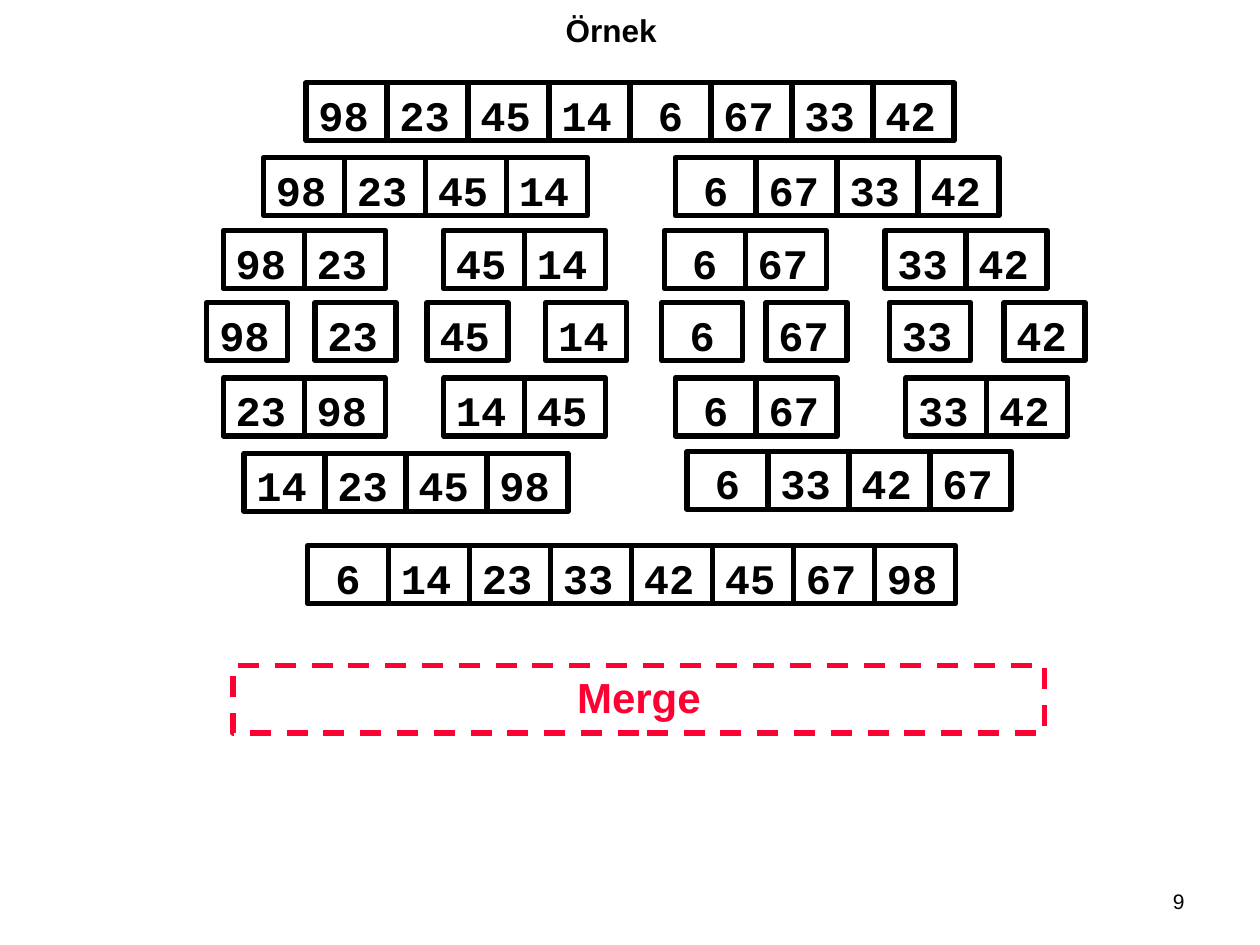
from pptx import Presentation
from pptx.dml.color import RGBColor
from pptx.enum.dml import MSO_LINE
from pptx.enum.shapes import MSO_SHAPE
from pptx.enum.text import MSO_ANCHOR, PP_ALIGN
from pptx.util import Cm, Pt

RECT = MSO_SHAPE.RECTANGLE
DASH = MSO_LINE.DASH
MIDDLE = MSO_ANCHOR.MIDDLE
TOP = MSO_ANCHOR.TOP
LEFT, CENTER, RIGHT = PP_ALIGN.LEFT, PP_ALIGN.CENTER, PP_ALIGN.RIGHT
COLORS = {"ink": "000000", "merge": "FF0033"}
CELL_W, CELL_H = 13.06 / 8, 1.17  # eight cells span the full array

# Each run of adjoining cells: left and top in cm, then its numbers
RUNS = [
    # Splitting
    (6.17, 1.67, [98, 23, 45, 14, 6, 67, 33, 42]),
    (5.31, 3.18, [98, 23, 45, 14]),
    (13.61, 3.18, [6, 67, 33, 42]),
    (4.5, 4.65, [98, 23]),
    (8.94, 4.65, [45, 14]),
    (13.39, 4.65, [6, 67]),
    (17.84, 4.65, [33, 42]),
    # Single elements
    (4.17, 6.1, [98]),
    (6.35, 6.1, [23]),
    (8.61, 6.1, [45]),
    (11, 6.1, [14]),
    (13.34, 6.1, [6]),
    (15.44, 6.1, [67]),
    (17.93, 6.1, [33]),
    (20.24, 6.1, [42]),
    # Merging
    (4.5, 7.62, [23, 98]),
    (8.94, 7.62, [14, 45]),
    (13.61, 7.62, [6, 67]),
    (18.26, 7.62, [33, 42]),
    (4.92, 9.14, [14, 23, 45, 98]),
    (13.85, 9.1, [6, 33, 42, 67]),
    (6.2, 11, [6, 14, 23, 33, 42, 45, 67, 98]),
]


def set_text(sp, text, font, size, color, align, anchor=MIDDLE, bold=True):
    tf = sp.text_frame
    tf.word_wrap = True
    tf.vertical_anchor = anchor
    p = tf.paragraphs[0]
    p.text = text
    p.alignment = align
    p.font.name = font
    p.font.size = Pt(size)
    p.font.bold = bold
    p.font.color.rgb = RGBColor.from_string(COLORS[color])
    return tf


def add_box(x, y, w, h, color):
    sp = s.shapes.add_shape(RECT, Cm(x), Cm(y), Cm(w), Cm(h))
    sp.shadow.inherit = False
    sp.fill.background()
    sp.line.color.rgb = RGBColor.from_string(COLORS[color])
    sp.line.width = Pt(3)
    return sp


prs = Presentation()
prs.slide_width, prs.slide_height = Cm(25.4), Cm(19.05)
s = prs.slides.add_slide(prs.slide_layouts[5])

# Title
title = s.shapes.title
title.left, title.top, title.width, title.height = Cm(11.1), Cm(0.09), Cm(2.44), Cm(1.02)
set_text(title, "Örnek", "Arial", 18, "ink", CENTER)

# Number cells
for left, top, numbers in RUNS:
    for i, number in enumerate(numbers):
        cell = add_box(left + i * CELL_W, top, CELL_W, CELL_H, "ink")
        align = CENTER if number < 10 else LEFT
        tf = set_text(cell, str(number), "Courier New", 24, "ink", align, TOP)
        tf.margin_top, tf.margin_bottom = Cm(0.13), 0

# Current phase
phase = add_box(4.7, 13.41, 16.36, 1.37, "merge")
phase.line.dash_style = DASH
tf = set_text(phase, "Merge", "Arial", 24, "merge", CENTER)
tf.margin_top, tf.margin_bottom = Cm(0.1), Cm(0.18)

# Slide number
number_box = s.shapes.add_textbox(Cm(18.21), Cm(17.65), Cm(5.92), Cm(1.02))
set_text(number_box, "9", "Arial", 12, "ink", RIGHT, bold=False)

prs.save("out.pptx")
